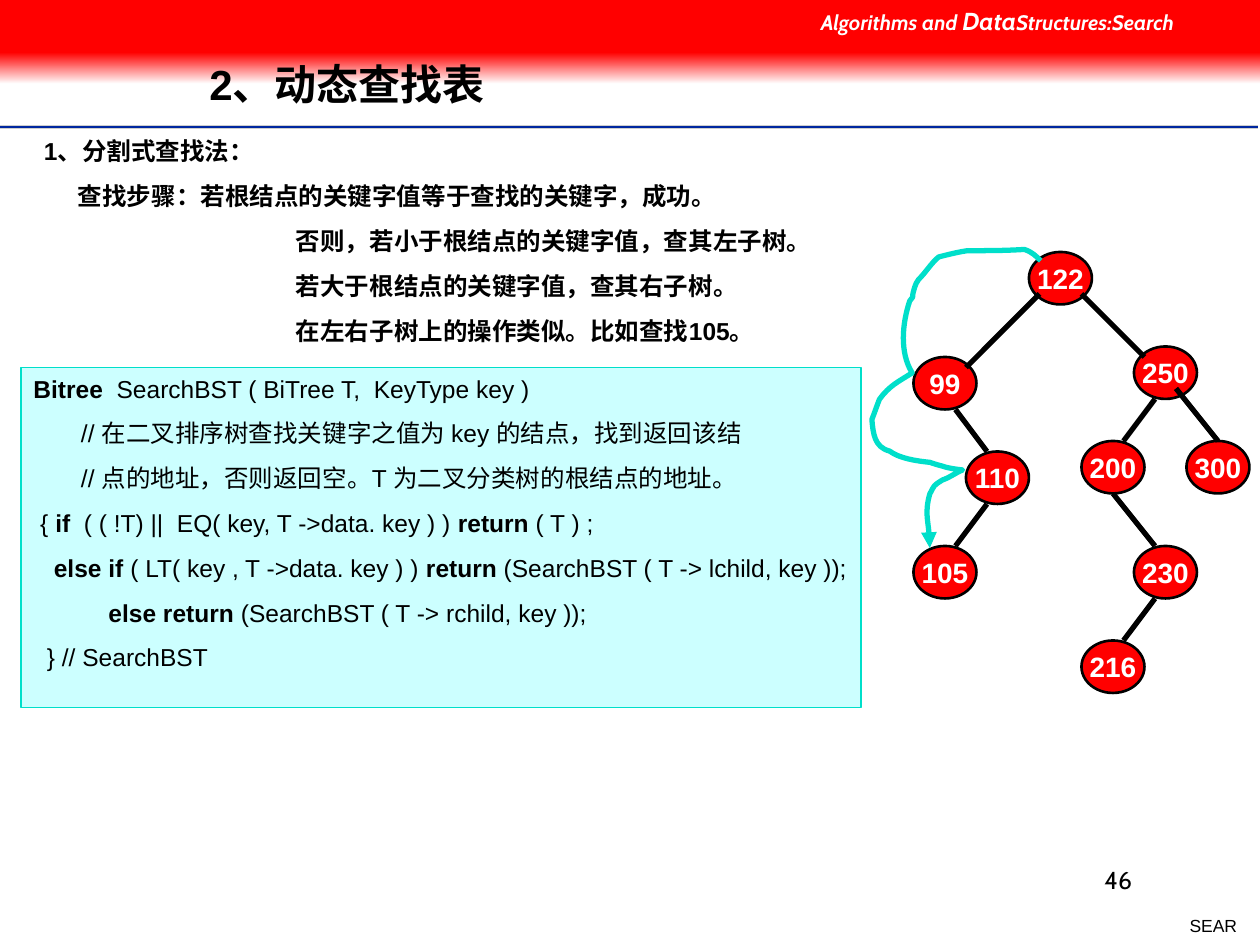
"""Build a slide on searching a binary search tree."""
from dataclasses import dataclass

from lxml import etree
from pptx import Presentation
from pptx.dml.color import RGBColor
from pptx.enum.shapes import MSO_CONNECTOR, MSO_SHAPE
from pptx.enum.text import MSO_ANCHOR, PP_ALIGN
from pptx.oxml.ns import qn
from pptx.util import Inches, Pt

STRAIGHT = MSO_CONNECTOR.STRAIGHT
RECTANGLE, OVAL = MSO_SHAPE.RECTANGLE, MSO_SHAPE.OVAL
TOP, MIDDLE = MSO_ANCHOR.TOP, MSO_ANCHOR.MIDDLE
LEFT, CENTER, RIGHT = PP_ALIGN.LEFT, PP_ALIGN.CENTER, PP_ALIGN.RIGHT

COLUMNS, ROWS = 120, 90
NODE_WIDTH, NODE_HEIGHT = 6, 5


@dataclass(frozen=True)
class Theme:
    black: RGBColor = RGBColor(0, 0, 0)
    white: RGBColor = RGBColor(255, 255, 255)
    red: RGBColor = RGBColor(255, 0, 0)
    navy: RGBColor = RGBColor(0x00, 0x27, 0x9F)
    gray: RGBColor = RGBColor(0xCE, 0xCE, 0xCE)
    teal: RGBColor = RGBColor(0x00, 0xDF, 0xCA)
    pale: RGBColor = RGBColor(0xCC, 0xFF, 0xFF)
    font: str = "Arial"
    header_font: str = "Cabin"
    title_size: float = 24
    node_size: float = 16
    body_size: float = 14
    header_size: float = 12
    footer_size: float = 10
    gap: float = 8.8


class SlideBuilder:
    def __init__(self, presentation, theme):
        self.theme = theme
        self.slide = presentation.slides.add_slide(presentation.slide_layouts[6])
        self.shapes = self.slide.shapes
        self.cell_width = presentation.slide_width / COLUMNS
        self.cell_height = presentation.slide_height / ROWS

    def place(self, column, row):
        return round(column * self.cell_width), round(row * self.cell_height)

    def set_lines(self, shape, lines, size, color=None, font=None, bold=False,
                  align=LEFT, anchor=TOP, wrap=True):
        """Set lines in which text between asterisks is bold."""
        frame = shape.text_frame
        frame.word_wrap = wrap
        frame.vertical_anchor = anchor
        for index, line in enumerate(lines):
            paragraph = frame.add_paragraph() if index else frame.paragraphs[0]
            paragraph.alignment = align
            if index:
                paragraph.space_before = Pt(self.theme.gap)
            for part, text in enumerate(line.split("*")):
                if not text:
                    continue
                run = paragraph.add_run()
                run.text = text
                run.font.name = font or self.theme.font
                run.font.size = Pt(size)
                run.font.bold = bold or part % 2 == 1
                run.font.color.rgb = color or self.theme.black
        return frame.paragraphs

    def text(self, area, lines, size, **style):
        shape = self.shapes.add_textbox(*self.place(*area[:2]), *self.place(*area[2:]))
        return self.set_lines(shape, lines, size, **style)

    def box(self, area, fill, line=None, width=0.75, kind=RECTANGLE):
        shape = self.shapes.add_shape(kind, *self.place(*area[:2]), *self.place(*area[2:]))
        shape.shadow.inherit = False
        shape.fill.solid()
        shape.fill.fore_color.rgb = fill
        if line is None:
            shape.line.fill.background()
        else:
            shape.line.color.rgb = line
            shape.line.width = Pt(width)
        return shape

    def fade(self, area, start, end):
        shape = self.box(area, start)
        shape.fill.gradient()
        shape.fill.gradient_angle = 270
        for stop, color, position in zip(shape.fill.gradient_stops, (start, end), (0, 1)):
            stop.color.rgb = color
            stop.position = position

    def line(self, start, end, color, width):
        connector = self.shapes.add_connector(STRAIGHT, *self.place(*start), *self.place(*end))
        connector.line.color.rgb = color
        connector.line.width = Pt(width)
        etree.SubElement(connector.element.spPr, qn("a:effectLst"))

    def node(self, column, row, key):
        theme = self.theme
        shape = self.box((column, row, NODE_WIDTH, NODE_HEIGHT), theme.red, theme.black, 1.5, OVAL)
        self.set_lines(shape, [key], theme.node_size, color=theme.white, bold=True,
                       align=CENTER, anchor=MIDDLE, wrap=False)

    def curved_arrow(self, points, color, width):
        """Draw Bezier curves through points given in hundredths of an inch."""
        builder = self.shapes.build_freeform(*points[0], scale=Inches(0.01))
        builder.add_line_segments(points[1:], close=False)
        shape = builder.convert_to_shape()
        shape.shadow.inherit = False
        shape.fill.background()
        shape.line.color.rgb = color
        shape.line.width = Pt(width)
        outline = shape.element.find(".//" + qn("a:path"))
        segments = outline.findall(qn("a:lnTo"))
        for first in range(0, len(segments), 3):
            curve = etree.SubElement(outline, qn("a:cubicBezTo"))
            for segment in segments[first:first + 3]:
                curve.append(segment[0])
                outline.remove(segment)
        line = shape.element.spPr.find(qn("a:ln"))
        etree.SubElement(line, qn("a:tailEnd"), type="triangle")


STEPS = [
    ("1、分割式查找法：", 0),
    ("查找步骤：若根结点的关键字值等于查找的关键字，成功。", 0.27),
    ("否则，若小于根结点的关键字值，查其左子树。", 2),
    ("若大于根结点的关键字值，查其右子树。", 2),
    ("在左右子树上的操作类似。比如查找105。", 2),
]
CODE = [
    "*Bitree*  SearchBST ( BiTree T,  KeyType key )",
    "       // 在二叉排序树查找关键字之值为 key 的结点，找到返回该结",
    "       // 点的地址，否则返回空。T 为二叉分类树的根结点的地址。",
    " { *if  *( ( !T) ||  EQ( key, T ->data. key ) ) *return *( T ) ;",
    "   *else if *( LT( key , T ->data. key ) ) *return* (SearchBST ( T -> lchild, key ));",
    "           *else return* (SearchBST ( T -> rchild, key ));",
    "  } // SearchBST",
]
NODES = [
    (98, 24, "122"), (108, 33, "250"), (113, 42, "300"), (92, 43, "110"), (103, 42, "200"),
    (87, 34, "99"), (87, 52, "105"), (108, 52, "230"), (103, 61, "216"),
]
EDGES = [
    ((99, 28), (92, 35)), ((103, 28), (109, 34)), ((112, 37), (116, 42)),
    ((110, 38), (107, 42)), ((91, 39), (94, 43)), ((94, 48), (91, 52)),
    ((106, 47), (110, 52)), ((110, 57), (107, 61)),
]
SEARCH_ROUTE = [
    (826, 207),
    (822, 203), (819, 200), (813, 198), (798, 199), (783, 199), (768, 199),
    (760, 200), (745, 204), (745, 204), (739, 209), (735, 216), (729, 222),
    (728, 224), (726, 226), (726, 228), (722, 241), (727, 232), (722, 239),
    (716, 257), (714, 280), (724, 296), (713, 303), (706, 306), (698, 317),
    (696, 322), (694, 328), (692, 333), (693, 344), (694, 355), (706, 358),
    (714, 364), (728, 366), (738, 367), (741, 368), (744, 369), (748, 370),
    (753, 372), (764, 373), (764, 373), (759, 375), (754, 379), (748, 381),
    (740, 386), (742, 385), (738, 392), (734, 406), (738, 420), (738, 435),
]


def main():
    presentation = Presentation()
    presentation.slide_width, presentation.slide_height = Inches(10), Inches(7.5)
    theme = Theme()
    builder = SlideBuilder(presentation, theme)

    for row, color, width in ((12.1, theme.gray, 2), (12.1, theme.navy, 1), (12.35, theme.white, 1)):
        builder.line((0, row), (119.8, row), color, width)
    builder.text((112, 86.6, 7, 3.2), ["SEAR"], theme.footer_size, align=RIGHT, wrap=False)
    builder.text((86, 81.75, 23, 6), ["46"], theme.body_size, font=theme.header_font, align=RIGHT)
    builder.fade((0, 5, COLUMNS, 3), theme.red, theme.white)
    builder.box((0, 0, COLUMNS, 5), theme.red)
    header = builder.text((77, 0, 43, 4.1), ["Algorithms and *Data*Structures:Search"],
                          theme.header_size, color=theme.white, font=theme.header_font, bold=True)
    for run in header[0].runs:
        run.font.italic = True
    header[0].runs[1].font.size = Pt(theme.body_size)

    title = builder.text((18.75, 3.8, 90.6, 8.9), ["2、动态查找表"], theme.title_size,
                         bold=True, anchor=MIDDLE)
    title[0].line_spacing = 0.9
    steps = builder.text((3, 12.4, 78, 21.1), [text for text, _ in STEPS], theme.body_size, bold=True)
    for paragraph, (_, indent) in zip(steps, STEPS):
        paragraph._p.get_or_add_pPr().set("marL", str(Inches(indent)))

    for column, row, key in NODES:
        builder.node(column, row, key)
    for start, end in EDGES:
        builder.line(start, end, theme.black, 3)
    builder.curved_arrow(SEARCH_ROUTE, theme.teal, 3)
    code_box = builder.box((2, 35, 80, 32.4), theme.pale, theme.teal)
    builder.set_lines(code_box, CODE, theme.body_size)

    presentation.save("out.pptx")


if __name__ == "__main__":
    main()
